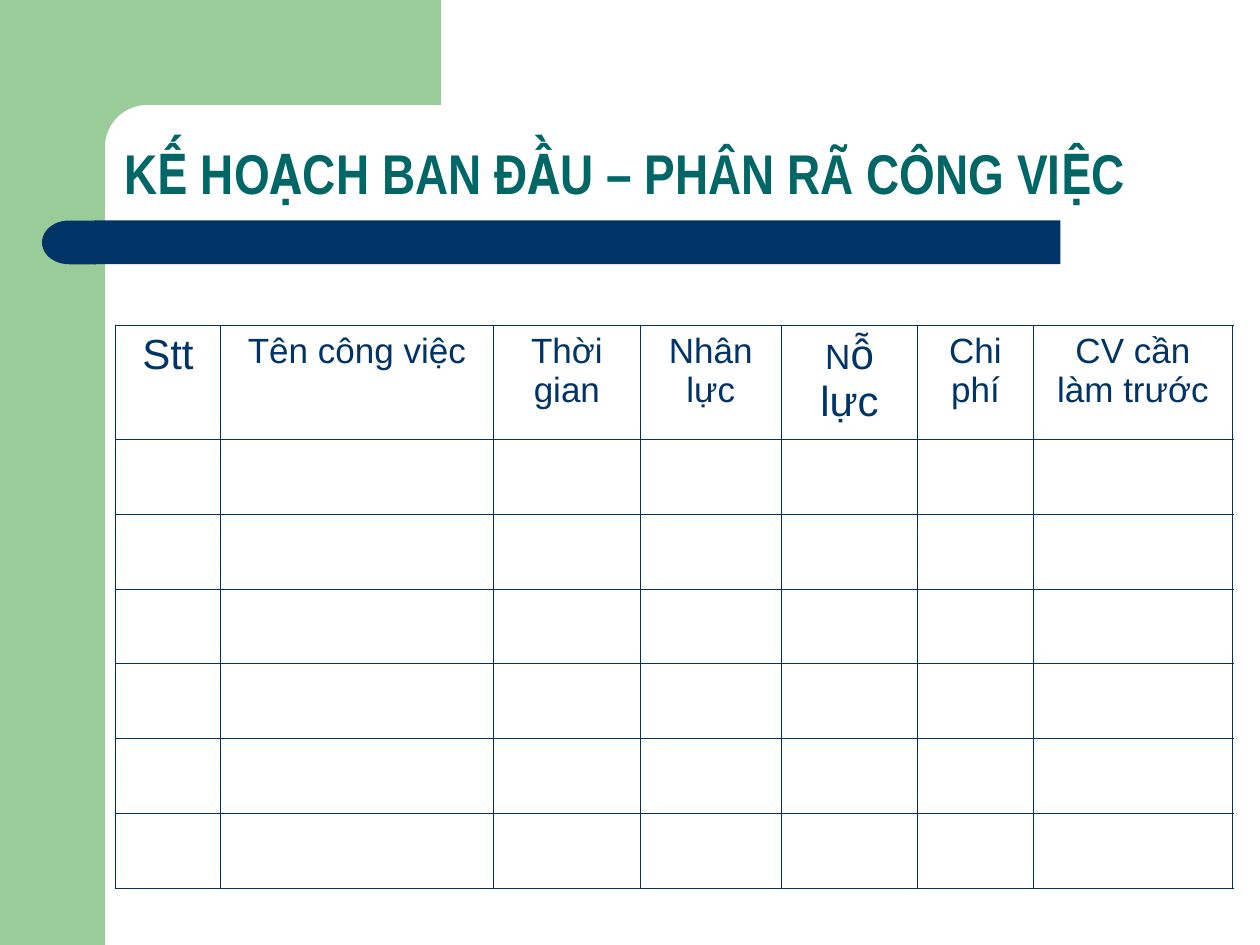
from math import cos, pi, sin

from lxml.etree import SubElement
from pptx import Presentation
from pptx.dml.color import RGBColor
from pptx.enum.shapes import MSO_SHAPE as Shape
from pptx.enum.text import MSO_ANCHOR as Anchor, PP_ALIGN as Align
from pptx.oxml.ns import qn
from pptx.util import Pt

COLORS = {"green": "99CC99", "navy": "003366", "teal": "006666"}
THIN, THICK = 0.45, 1.08

# Each heading is a list of (text, size) runs.
HEADINGS = [
    [("Stt", 24)],
    [("Tên công việc", 20)],
    [("Thời gian", 20)],
    [("Nhân lực", 20)],
    [("N", 20), ("ỗ lực", 24)],
    [("Chi phí", 20)],
    [("CV cần làm trước", 20)],
]
COLUMN_WIDTHS = [60, 156, 84, 80.5, 78, 66, 114]
ROW_HEIGHTS = [65] + [42.8] * 6


def color(name):
    return RGBColor.from_string(COLORS[name])


def paint(shape, fill):
    shape.shadow.inherit = False
    shape.fill.solid()
    shape.fill.fore_color.rgb = color(fill)
    shape.line.fill.background()


def add_block(slide, kind, left, top, width, height, fill):
    block = slide.shapes.add_shape(kind, Pt(left), Pt(top), Pt(width), Pt(height))
    paint(block, fill)
    return block


def add_corner(slide):
    """Green band along the top, with a rounded inner corner."""
    left, right, bottom, edge, inner, radius = 36, 252, 92, 60, 60, 24
    arc = []
    for step in range(13):
        angle = pi / 2 * step / 12
        arc.append((edge + radius * (1 - sin(angle)),
                    inner + radius * (1 - cos(angle))))
    outline = [(right, inner), *arc, (edge, bottom), (left, bottom), (left, 0)]
    builder = slide.shapes.build_freeform(Pt(right), 0)
    builder.add_line_segments([(Pt(x), Pt(y)) for x, y in outline])
    paint(builder.convert_to_shape(), "green")


def add_run(paragraph, text, *, size, fill, font="Arial", bold=False):
    run = paragraph.add_run()
    run.text = text
    run.font.size = Pt(size)
    run.font.name = font
    run.font.bold = bold
    run.font.color.rgb = color(fill)


def add_title(slide, text):
    title = slide.shapes.add_textbox(Pt(64), Pt(64), Pt(615.6), Pt(57.6))
    frame = title.text_frame
    frame.word_wrap = True
    frame.vertical_anchor = Anchor.BOTTOM
    paragraph = frame.paragraphs[0]
    paragraph.line_spacing = 0.9
    add_run(paragraph, text, size=32, fill="teal", font="Arial Narrow", bold=True)


def set_borders(cell, widths):
    """Draw the cell's sides; widths maps L, R, T and B to points."""
    properties = cell._tc.get_or_add_tcPr()
    for side, width in widths.items():
        line = SubElement(properties, qn(f"a:ln{side}"), w=str(Pt(width)))
        fill = SubElement(line, qn("a:solidFill"))
        SubElement(fill, qn("a:srgbClr"), val=COLORS["navy"])


def add_plan_table(slide):
    row_count, column_count = len(ROW_HEIGHTS), len(COLUMN_WIDTHS)
    table = slide.shapes.add_table(
        row_count, column_count, Pt(66), Pt(186),
        Pt(sum(COLUMN_WIDTHS)), Pt(sum(ROW_HEIGHTS))).table
    table.first_row = table.horz_banding = False
    for column, width in zip(table.columns, COLUMN_WIDTHS):
        column.width = Pt(width)
    for row, height in zip(table.rows, ROW_HEIGHTS):
        row.height = Pt(height)

    for r in range(row_count):
        for c in range(column_count):
            cell = table.cell(r, c)
            set_borders(cell, {
                "L": THICK if c == 0 else THIN,
                "R": THICK if c == column_count - 1 else THIN,
                "T": THICK if r == 0 else THIN,
                "B": THICK if r == row_count - 1 else THIN,
            })
            cell.fill.background()

    for c, heading in enumerate(HEADINGS):
        paragraph = table.cell(0, c).text_frame.paragraphs[0]
        paragraph.alignment = Align.CENTER
        paragraph.space_before = Pt(max(size for _, size in heading) / 4)
        for text, size in heading:
            add_run(paragraph, text, size=size, fill="navy")


def main():
    deck = Presentation()
    deck.slide_width, deck.slide_height = Pt(720), Pt(540)
    slide = deck.slides.add_slide(deck.slide_layouts[6])

    add_block(slide, Shape.RECTANGLE, 0, 0, 60, 540, "green")
    add_corner(slide)
    add_block(slide, Shape.RECTANGLE, 54, 126, 552, 25, "navy")
    bar_cap = add_block(slide, Shape.FLOWCHART_DELAY, 24, 126, 31, 25, "navy")
    bar_cap.rotation = 180
    add_title(slide, "KẾ HOẠCH BAN ĐẦU – PHÂN RÃ CÔNG VIỆC")
    add_plan_table(slide)

    deck.save("out.pptx")


if __name__ == "__main__":
    main()
